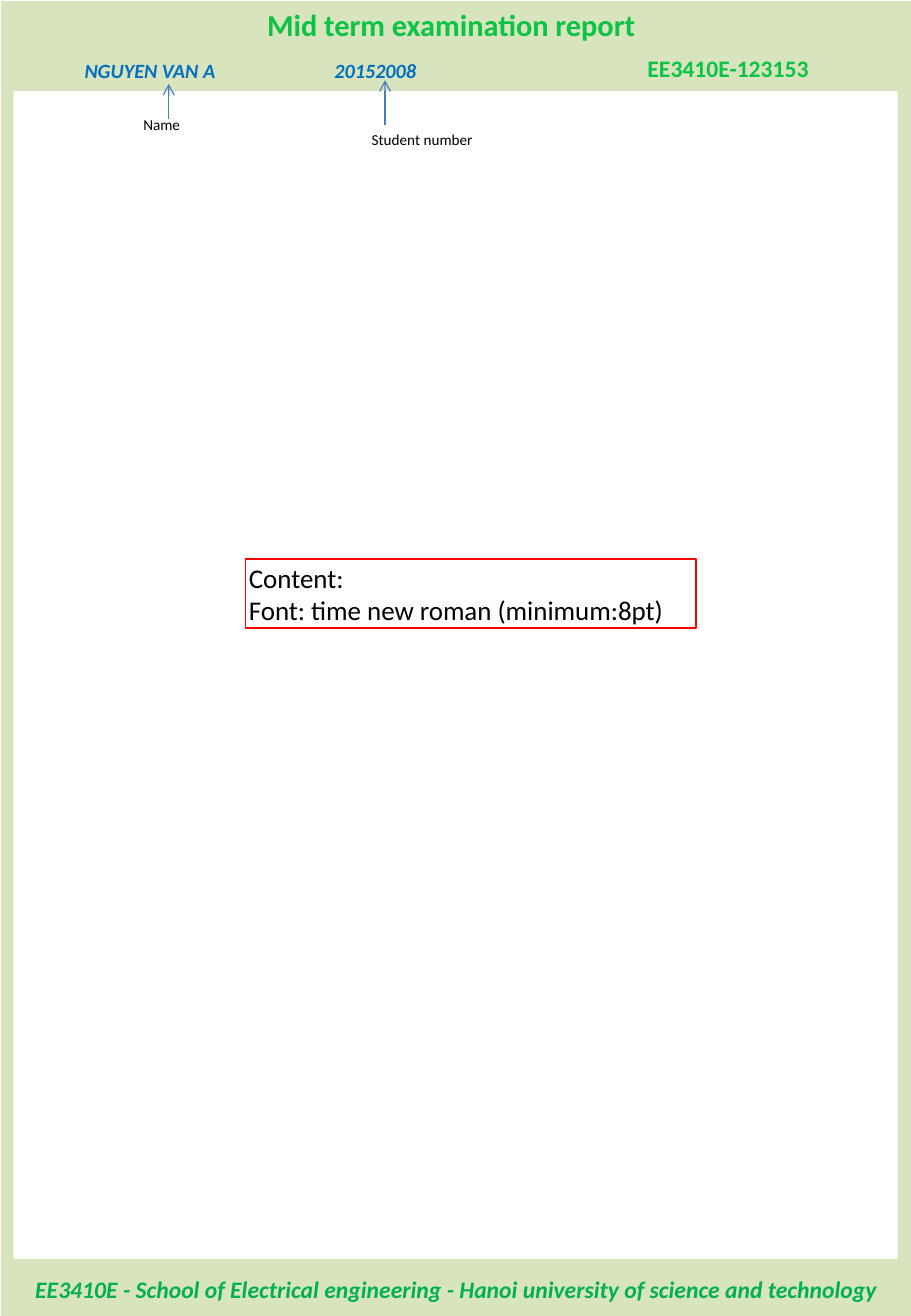
"""Build the cover sheet of a mid term examination report."""
from lxml.etree import SubElement
from pptx import Presentation
from pptx.dml.color import RGBColor
from pptx.enum.shapes import MSO_CONNECTOR, MSO_SHAPE
from pptx.enum.text import MSO_ANCHOR, MSO_AUTO_SIZE, PP_ALIGN
from pptx.oxml.ns import qn
from pptx.util import Inches, Pt

COLORS = {"border": "D7E4BD", "page": "FFFFFF", "heading": "0BC344", "footer": "00B050",
          "student": "0070C0", "label": "000000", "arrow": "4B7EBC", "frame": "FF0000"}

# Places are percentages of the slide: left, top, width, height.
PANELS = [("border", (0.13, 0.09, 99.87, 99.91)), ("page", (1.47, 6.93, 97.07, 88.73))]
STYLES = {
    "title": dict(size=18, color="heading", bold=True, italic=False, align=PP_ALIGN.CENTER),
    "code": dict(size=14, color="heading", bold=True, italic=False, align=PP_ALIGN.CENTER),
    "footer": dict(size=14, color="footer", bold=True, italic=True, align=PP_ALIGN.CENTER),
    "student": dict(size=12, color="student", bold=True, italic=True, align=PP_ALIGN.CENTER),
    "label": dict(size=9, color="label", bold=False, italic=False, align=PP_ALIGN.LEFT),
    "note": dict(size=16, color="label", bold=False, italic=False, align=PP_ALIGN.LEFT),
}
TITLE = ("Mid term examination report", (0.67, 0.28, 97.73, 3.14))
TEXTS = [
    ("footer", "EE3410E - School of Electrical engineering - Hanoi university of science and technology",
     (0.4, 96.68, 99.46, 2.59)),
    ("student", "NGUYEN VAN A", (5.8, 4.25, 21.33, 2.12)),
    ("student", "20152008", (30.53, 4.25, 21.33, 2.12)),
    ("code", "EE3410E-123153", (61.27, 3.88, 37.33, 2.49)),
    ("label", "Name", (15.33, 8.59, 6.67, 1.75)),
    ("label", "Student number", (40.4, 9.7, 15.2, 1.75)),
]
NOTE = ("Content:\nFont: time new roman (minimum:8pt)", (26.93, 42.47, 49.47, 5.26))
ARROWS = [(18.53, 9.05, 6.37), (42.27, 9.51, 6.09)]

deck = Presentation()
deck.slide_width, deck.slide_height = Inches(7.5), Inches(10.83)
slide = deck.slides.add_slide(deck.slide_layouts[5])
shapes = slide.shapes


def across(percent):
    """Turn a share of the slide's width into a length."""
    return round(deck.slide_width * percent / 100)


def down(percent):
    """Turn a share of the slide's height into a length."""
    return round(deck.slide_height * percent / 100)


def box(place):
    """Turn a place in percentages into lengths."""
    left, top, width, height = place
    return across(left), down(top), across(width), down(height)


def rgb(name):
    """Look up a named colour."""
    return RGBColor.from_string(COLORS[name])


def write(holder, text, style):
    """Put styled text into a shape."""
    frame = holder.text_frame
    frame.text = text
    frame.word_wrap = True
    frame.auto_size = MSO_AUTO_SIZE.NONE
    frame.vertical_anchor = MSO_ANCHOR.TOP
    frame.margin_left = frame.margin_right = Inches(0.03)
    frame.margin_top = frame.margin_bottom = Inches(0.02)
    for paragraph in frame.paragraphs:
        paragraph.alignment = style["align"]
        font = paragraph.font
        font.name, font.size = "Calibri", Pt(style["size"])
        font.bold, font.italic = style["bold"], style["italic"]
        font.color.rgb = rgb(style["color"])


def add_rectangle(place):
    """Add a rectangle without a shadow."""
    rectangle = shapes.add_shape(MSO_SHAPE.RECTANGLE, *box(place))
    rectangle.shadow.inherit = False
    return rectangle


def add_arrow(x, start, end):
    """Add a vertical arrow pointing at its end."""
    arrow = shapes.add_connector(MSO_CONNECTOR.STRAIGHT, across(x), down(start), across(x), down(end))
    arrow.line.color.rgb = rgb("arrow")
    arrow.line.width = Pt(0.75)
    SubElement(arrow.line._get_or_add_ln(), qn("a:tailEnd"), type="arrow")
    SubElement(arrow._element.spPr, qn("a:effectLst"))


title = shapes.title
for color, place in PANELS:
    panel = add_rectangle(place)
    panel.fill.solid()
    panel.fill.fore_color.rgb = rgb(color)
    panel.line.fill.background()
    title._element.addprevious(panel._element)

heading, place = TITLE
title.left, title.top, title.width, title.height = box(place)
write(title, heading, STYLES["title"])

for style, text, place in TEXTS:
    write(shapes.add_textbox(*box(place)), text, STYLES[style])

for arrow_place in ARROWS:
    add_arrow(*arrow_place)

instructions, place = NOTE
note = add_rectangle(place)
note.fill.background()
note.line.color.rgb = rgb("frame")
note.line.width = Pt(0.75)
write(note, instructions, STYLES["note"])

deck.save("out.pptx")
